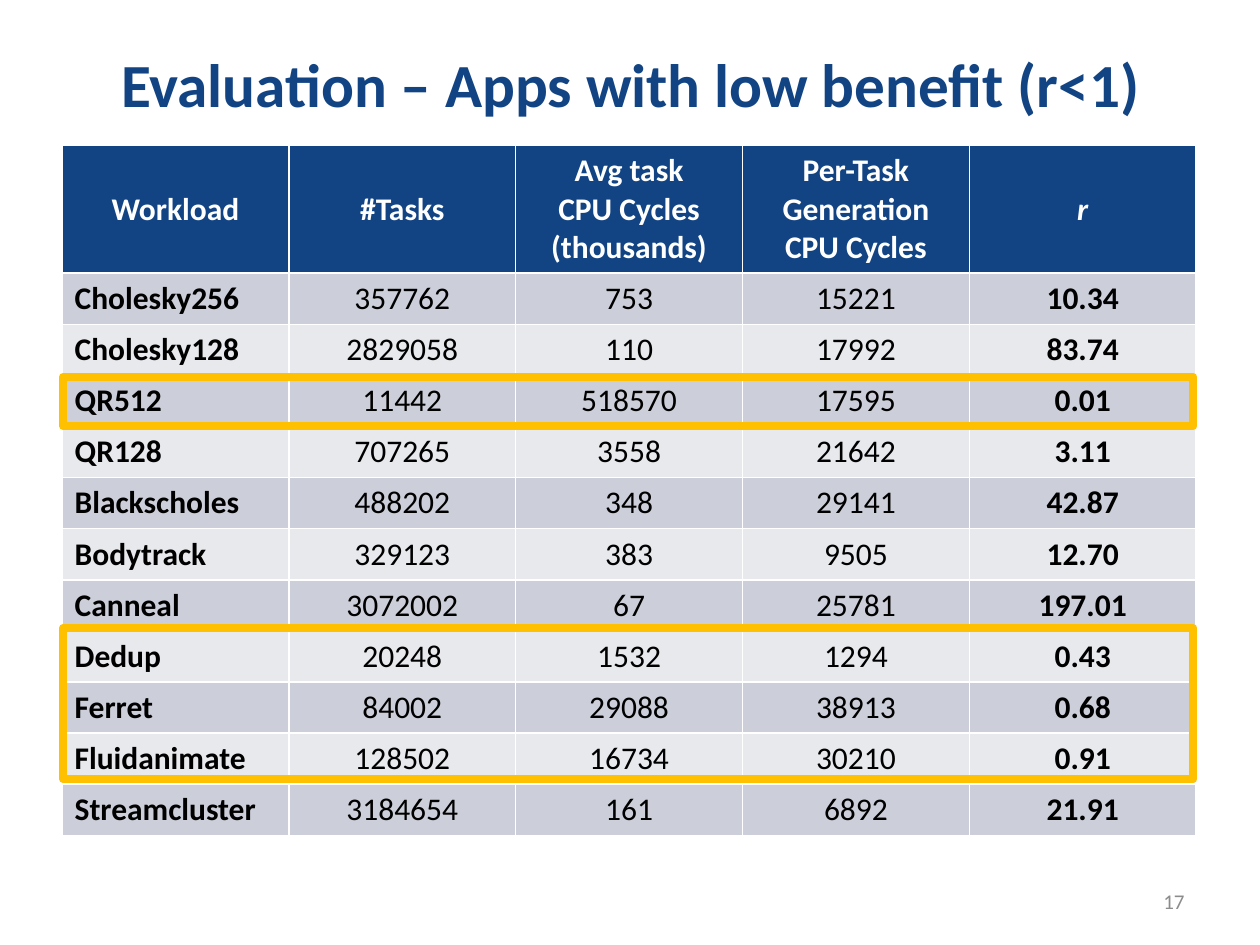
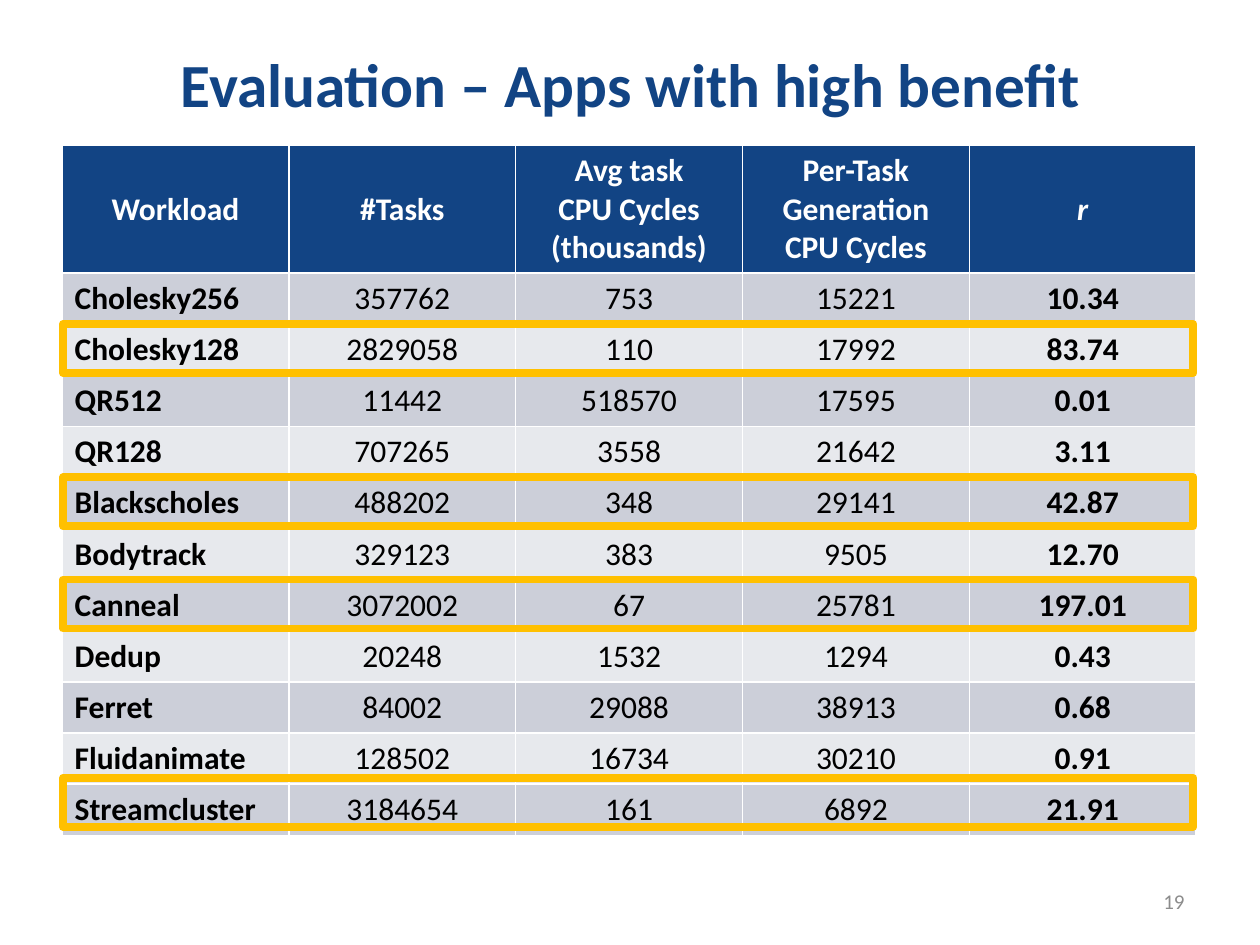
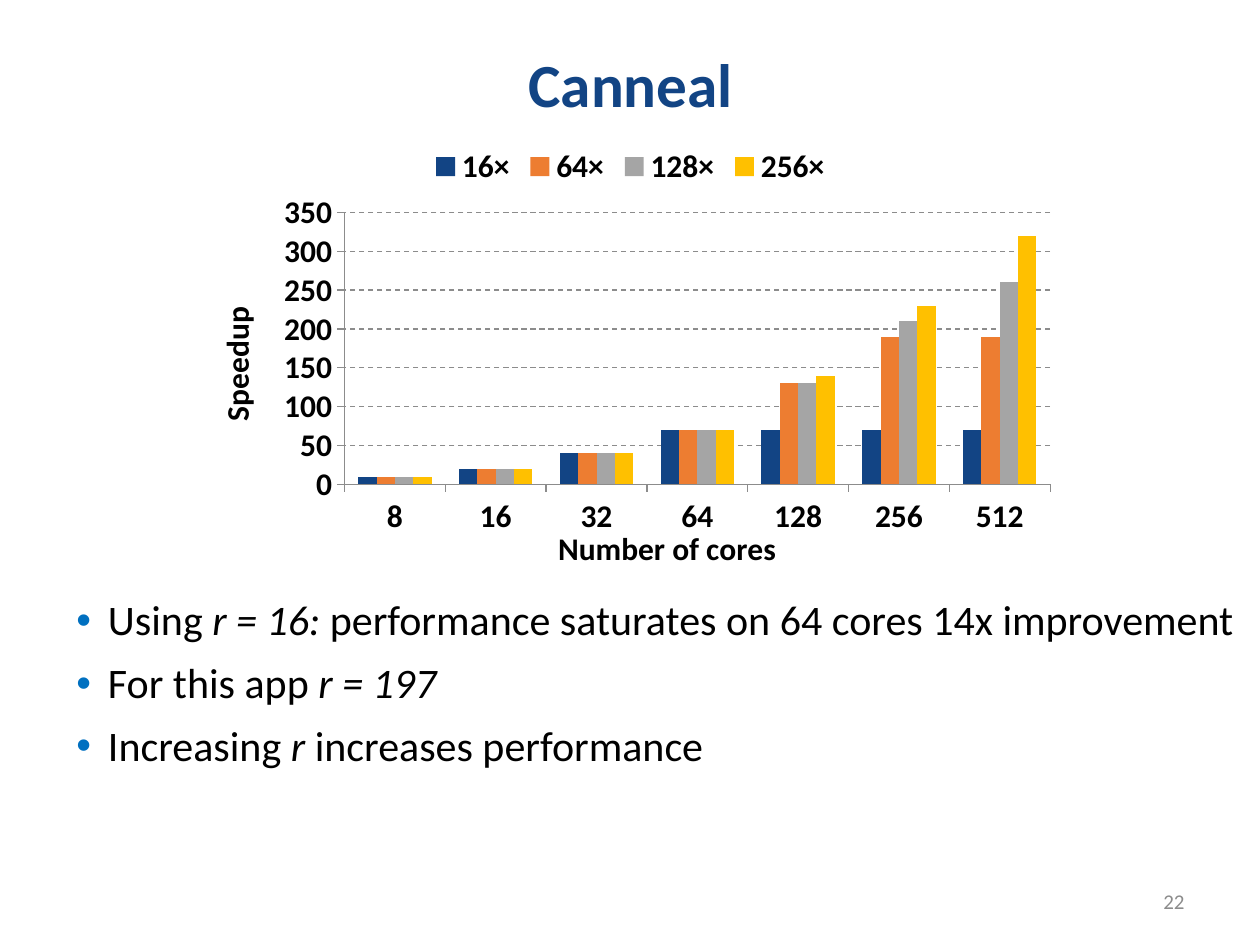
"""Builds three evaluation slides: two highlighted workload tables and a speedup chart."""
from dataclasses import dataclass

from pptx import Presentation
from pptx.chart.data import CategoryChartData
from pptx.dml.color import RGBColor
from pptx.enum.chart import XL_CHART_TYPE as CHART, XL_LEGEND_POSITION as LEGEND, XL_TICK_MARK as TICK
from pptx.enum.dml import MSO_LINE
from pptx.enum.shapes import MSO_SHAPE
from pptx.enum.text import MSO_ANCHOR as ANCHOR, MSO_AUTO_SIZE as AUTO, PP_ALIGN as ALIGN
from pptx.oxml import parse_xml
from pptx.oxml.ns import nsdecls, qn
from pptx.util import Pt


@dataclass(frozen=True)
class Theme:
    font: str = "Calibri"
    navy: str = "124484"
    orange: str = "ED7D31"
    silver: str = "A5A5A5"
    gold: str = "FFC000"
    bullet: str = "0070C0"
    band_dark: str = "CCCFD9"
    band_light: str = "E7E9ED"
    gray: str = "8C8C8C"
    white: str = "FFFFFF"
    black: str = "000000"
    title_size: int = 35
    body_size: int = 24
    data_size: int = 18
    number_size: int = 12


T = Theme()

HEADER = ["Workload", "#Tasks", "Avg task\vCPU Cycles\v(thousands)",
          "Per-Task Generation CPU Cycles", "r"]
WORKLOADS = [
    ("Cholesky256", "357762", "753", "15221", "10.34"),
    ("Cholesky128", "2829058", "110", "17992", "83.74"),
    ("QR512", "11442", "518570", "17595", "0.01"),
    ("QR128", "707265", "3558", "21642", "3.11"),
    ("Blackscholes", "488202", "348", "29141", "42.87"),
    ("Bodytrack", "329123", "383", "9505", "12.70"),
    ("Canneal", "3072002", "67", "25781", "197.01"),
    ("Dedup", "20248", "1532", "1294", "0.43"),
    ("Ferret", "84002", "29088", "38913", "0.68"),
    ("Fluidanimate", "128502", "16734", "30210", "0.91"),
    ("Streamcluster", "3184654", "161", "6892", "21.91"),
]
# Each highlight names its first row, its last row and a vertical nudge.
TABLE_SLIDES = [
    {"title": "Evaluation – Apps with low benefit (r<1)", "number": 17,
     "highlights": [("Dedup", "Fluidanimate", -1.5), ("QR512", "QR512", 1)]},
    {"title": "Evaluation – Apps with high benefit", "number": 19,
     "highlights": [("Blackscholes", "Blackscholes", 0), ("Cholesky128", "Cholesky128", 0),
                    ("Canneal", "Canneal", 0), ("Streamcluster", "Streamcluster", -3.5)]},
]
CHART_SLIDE = {
    "title": "Canneal", "number": 22,
    "cores": ["8", "16", "32", "64", "128", "256", "512"],
    "series": [
        ("16×", T.navy, (10, 20, 40, 70, 70, 70, 70)),
        ("64×", T.orange, (10, 20, 40, 70, 130, 190, 190)),
        ("128×", T.silver, (10, 20, 40, 70, 130, 210, 260)),
        ("256×", T.gold, (10, 20, 40, 70, 140, 230, 320)),
    ],
    "bullets": [
        [("Using ", False), ("r = 16: ", True),
         ("performance saturates on 64 cores 14x improvement", False)],
        [("For this app ", False), ("r = 197", True)],
        [("Increasing ", False), ("r", True), (" increases performance", False)],
    ],
}

TITLE_BOX = (36.5, 17, 648, 66)
NUMBER_BOX = (516, 500.5, 168, 28.75)
BODY_BOX = (36.5, 339, 683.5, 137.5)
CHART_BOX = (105, 75.5, 510.5, 255)
PLOT = {"x": 0.18, "y": 0.18, "w": 0.79, "h": 0.61}
TABLE_LEFT, TABLE_TOP, COL_W, HEADER_H, ROW_H = 35.5, 83, 129.6, 73, 29.2
FRAME_LEFT, FRAME_W, FRAME_TRIM = 36, 646, 1.2


def rgb(color):
    return RGBColor.from_string(color)


def pts(box):
    return [Pt(v) for v in box]


def style(font, size, color=T.black, **flags):
    values = {"name": T.font, "size": Pt(size), **flags}
    for key, value in values.items():
        setattr(font, key, value)
    font.color.rgb = rgb(color)


def place(sp, box):
    for key, value in zip(("left", "top", "width", "height"), pts(box)):
        setattr(sp, key, value)


def new_slide(prs, layout, title, number):
    s = prs.slides.add_slide(prs.slide_layouts.get_by_name(layout))
    place(s.shapes.title, TITLE_BOX)
    box = s.shapes.add_textbox(*pts(NUMBER_BOX))
    for sp, text, align, size, color, bold in (
            (s.shapes.title, title, ALIGN.CENTER, T.title_size, T.navy, True),
            (box, str(number), ALIGN.RIGHT, T.number_size, T.gray, False)):
        tf = sp.text_frame
        tf.auto_size, tf.word_wrap, tf.vertical_anchor = AUTO.NONE, True, ANCHOR.MIDDLE
        p = tf.paragraphs[0]
        p.alignment = align
        r = p.add_run()
        r.text = text
        style(r.font, size, color, bold=bold)
    s.shapes.title.text_frame.paragraphs[0].line_spacing = 0.9
    return s


def add_workloads(s):
    rows = [HEADER, *WORKLOADS]
    height = HEADER_H + ROW_H * len(WORKLOADS)
    table = s.shapes.add_table(len(rows), len(HEADER), *pts(
        (TABLE_LEFT, TABLE_TOP, COL_W * len(HEADER), height))).table
    for col in table.columns:
        col.width = Pt(COL_W)
    for i, row in enumerate(rows):
        head = i == 0
        table.rows[i].height = Pt(HEADER_H if head else ROW_H)
        fill = T.navy if head else T.band_dark if i % 2 else T.band_light
        for j, text in enumerate(row):
            edge = j in (0, len(HEADER) - 1)
            cell = table.cell(i, j)
            cell.text = text
            cell.vertical_anchor = ANCHOR.MIDDLE if head else ANCHOR.TOP
            cell.fill.solid()
            cell.fill.fore_color.rgb = rgb(fill)
            p = cell.text_frame.paragraphs[0]
            p.alignment = ALIGN.CENTER if head or j else ALIGN.LEFT
            for r in p.runs:
                style(r.font, T.data_size, T.white if head else T.black,
                      bold=head or edge, italic=head and text == "r")


def add_highlight(s, first, last, nudge):
    names = [row[0] for row in WORKLOADS]
    start, count = names.index(first), names.index(last) - names.index(first) + 1
    top = TABLE_TOP + HEADER_H + ROW_H * start + nudge
    sp = s.shapes.add_shape(MSO_SHAPE.RECTANGLE, *pts(
        (FRAME_LEFT, top, FRAME_W, ROW_H * count - FRAME_TRIM)))
    sp.shadow.inherit = False
    sp.fill.background()
    sp.line.color.rgb, sp.line.width = rgb(T.gold), Pt(4.5)


def add_bullets(s, bullets):
    body = s.placeholders[1]
    place(body, BODY_BOX)
    tf = body.text_frame
    tf.auto_size, tf.word_wrap = AUTO.NONE, True
    for i, parts in enumerate(bullets):
        p = tf.add_paragraph() if i else tf.paragraphs[0]
        p.line_spacing, p.space_before = 0.9, Pt(10)
        pPr = p._p.get_or_add_pPr()
        pPr.set("marL", str(Pt(18)))
        pPr.set("indent", str(-Pt(18)))
        for xml in (f'<a:buClr {nsdecls("a")}><a:srgbClr val="{T.bullet}"/></a:buClr>',
                    f'<a:buFont {nsdecls("a")} typeface="Arial"/>',
                    f'<a:buChar {nsdecls("a")} char="•"/>'):
            pPr.append(parse_xml(xml))
        for text, italic in parts:
            r = p.add_run()
            r.text = text
            style(r.font, T.body_size, italic=italic)


def set_plot_layout(chart):
    area = chart.element.find(".//" + qn("c:plotArea"))
    for old in area.findall(qn("c:layout")):
        area.remove(old)
    sizes = "".join(f'<c:{key} val="{value}"/>' for key, value in PLOT.items())
    area.insert(0, parse_xml(
        f'<c:layout {nsdecls("c")}><c:manualLayout><c:layoutTarget val="inner"/>'
        f'<c:xMode val="edge"/><c:yMode val="edge"/>{sizes}</c:manualLayout></c:layout>'))


def add_speedup(s, cores, series):
    data = CategoryChartData()
    data.categories = cores
    for name, _, values in series:
        data.add_series(name, values)
    chart = s.shapes.add_chart(CHART.COLUMN_CLUSTERED, *pts(CHART_BOX), data).chart
    style(chart.font, T.data_size, bold=True)
    chart.has_title, chart.has_legend = False, True
    chart.legend.position, chart.legend.include_in_layout = LEGEND.TOP, False
    plot = chart.plots[0]
    plot.gap_width, plot.overlap, plot.vary_by_categories = 150, 0, False
    for bar, (_, color, _) in zip(plot.series, series):
        bar.format.fill.solid()
        bar.format.fill.fore_color.rgb = rgb(color)
    for axis, label in ((chart.category_axis, "Number of cores"), (chart.value_axis, "Speedup")):
        axis.major_tick_mark, axis.minor_tick_mark = TICK.OUTSIDE, TICK.NONE
        axis.format.line.color.rgb, axis.format.line.width = rgb(T.gray), Pt(0.75)
        tf = axis.axis_title.text_frame
        tf.text = label
        style(tf.paragraphs[0].runs[0].font, T.data_size, bold=True)
    axis = chart.value_axis
    axis.minimum_scale, axis.maximum_scale, axis.major_unit = 0, 350, 50
    axis.has_major_gridlines = True
    line = axis.major_gridlines.format.line
    line.color.rgb, line.width, line.dash_style = rgb(T.gray), Pt(0.75), MSO_LINE.DASH
    set_plot_layout(chart)


def main():
    prs = Presentation()
    prs.slide_width, prs.slide_height = Pt(720), Pt(540)
    for content in TABLE_SLIDES:
        s = new_slide(prs, "Title Only", content["title"], content["number"])
        add_workloads(s)
        for highlight in content["highlights"]:
            add_highlight(s, *highlight)
    s = new_slide(prs, "Title and Content", CHART_SLIDE["title"], CHART_SLIDE["number"])
    add_bullets(s, CHART_SLIDE["bullets"])
    add_speedup(s, CHART_SLIDE["cores"], CHART_SLIDE["series"])
    prs.save("out.pptx")


if __name__ == "__main__":
    main()
